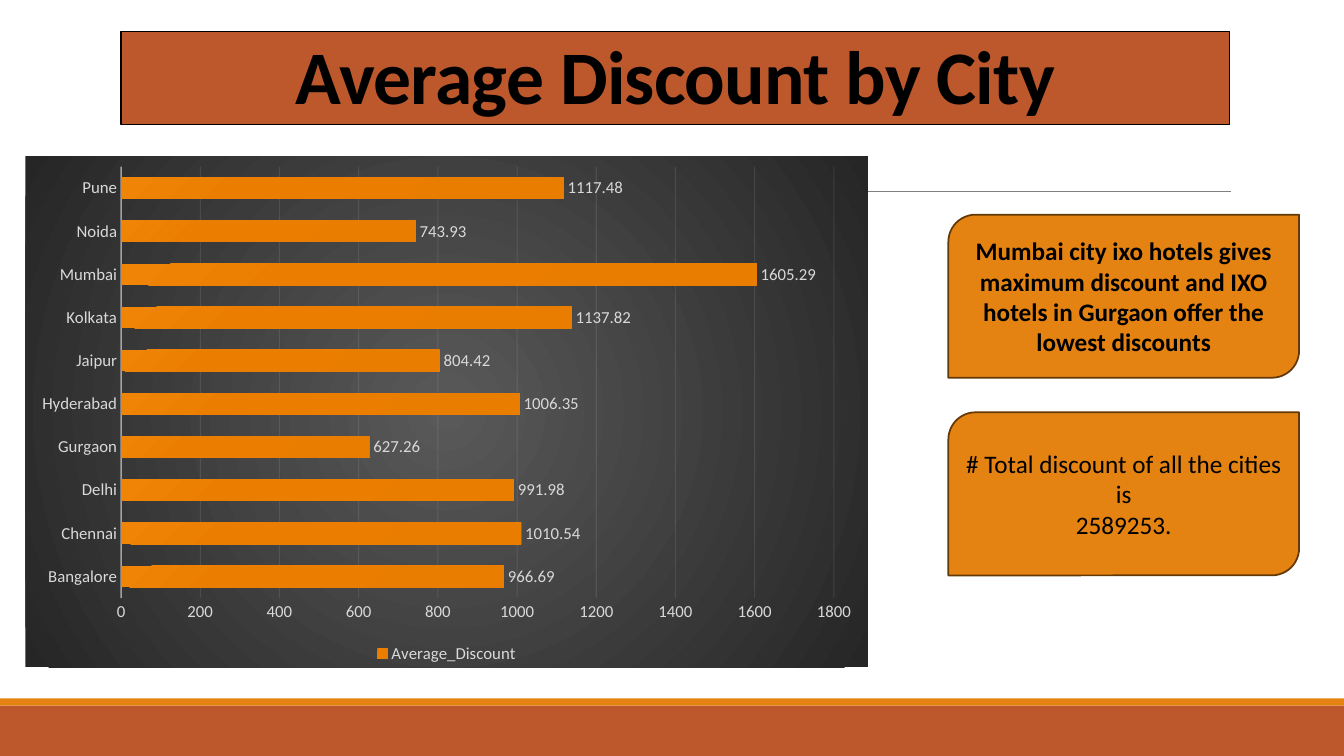
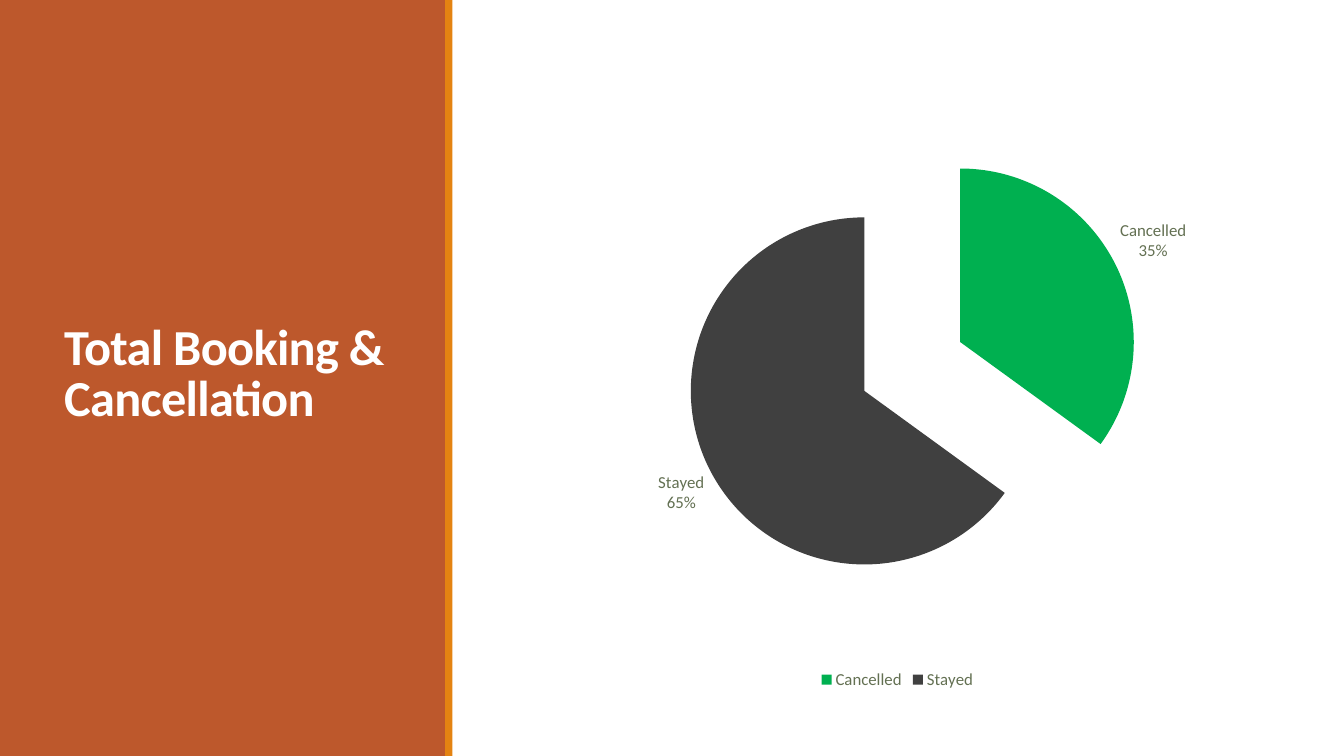
from dataclasses import dataclass
from typing import Any, Optional

from pptx import Presentation
from pptx.chart.data import CategoryChartData
from pptx.dml.color import RGBColor
from pptx.enum.chart import XL_CHART_TYPE, XL_LABEL_POSITION, XL_LEGEND_POSITION, XL_TICK_MARK
from pptx.enum.shapes import MSO_CONNECTOR, MSO_SHAPE
from pptx.enum.text import MSO_ANCHOR, PP_ALIGN
from pptx.oxml import parse_xml
from pptx.oxml.ns import nsdecls
from pptx.util import Cm, Pt

RECT = MSO_SHAPE.RECTANGLE
CALLOUT = MSO_SHAPE.ROUND_2_DIAG_RECTANGLE
STRAIGHT = MSO_CONNECTOR.STRAIGHT
BAR = XL_CHART_TYPE.BAR_CLUSTERED
PIE = XL_CHART_TYPE.PIE
OUTSIDE_END = XL_LABEL_POSITION.OUTSIDE_END
LEGEND_BOTTOM = XL_LEGEND_POSITION.BOTTOM
NO_TICK = XL_TICK_MARK.NONE
MIDDLE = MSO_ANCHOR.MIDDLE
BOTTOM = MSO_ANCHOR.BOTTOM
CENTER = PP_ALIGN.CENTER
LEFT = PP_ALIGN.LEFT

RUST = RGBColor(0xBD, 0x58, 0x2C)
ORANGE = RGBColor(0xE4, 0x83, 0x12)
BROWN = RGBColor(0x64, 0x39, 0x08)
BLACK = RGBColor(0, 0, 0)
WHITE = RGBColor(0xFF, 0xFF, 0xFF)
GRAY = RGBColor(0x80, 0x80, 0x80)
PALE = RGBColor(0xF2, 0xF2, 0xF2)
SILVER = RGBColor(0xD9, 0xD9, 0xD9)
OLIVE = RGBColor(0x63, 0x70, 0x52)
GREEN = RGBColor(0x00, 0xB0, 0x50)
CHARCOAL = RGBColor(0x40, 0x40, 0x40)
CHART_STOPS = ((0, RGBColor(0x59, 0x59, 0x59)), (100, RGBColor(0x26, 0x26, 0x26)))
BAR_STOPS = (
    (0, RGBColor(0xE5, 0x7B, 0x00)),
    (34, RGBColor(0xE8, 0x7D, 0x00)),
    (70, RGBColor(0xEB, 0x7E, 0x00)),
    (100, RGBColor(0xEF, 0x84, 0x07)),
)

FONT = "Calibri"
WIDTH, HEIGHT = 33.87, 19.05
STRIPE = 0.18


@dataclass(frozen=True)
class Box:
    left: float
    top: float
    width: float
    height: float

    def lengths(self) -> tuple:
        return Cm(self.left), Cm(self.top), Cm(self.width), Cm(self.height)


@dataclass(frozen=True)
class Text:
    lines: tuple
    size: float
    color: RGBColor = BLACK
    bold: bool = False
    align: Any = CENTER
    anchor: Any = MIDDLE
    title: bool = False


@dataclass(frozen=True)
class Panel:
    box: Box
    fill: Optional[RGBColor]
    shape: Any = RECT
    line: Optional[RGBColor] = None
    weight: float = 0.75
    text: Optional[Text] = None


DISCOUNTS = {
    "Bangalore": 966.69,
    "Chennai": 1010.54,
    "Delhi": 991.98,
    "Gurgaon": 627.26,
    "Hyderabad": 1006.35,
    "Jaipur": 804.42,
    "Kolkata": 1137.82,
    "Mumbai": 1605.29,
    "Noida": 743.93,
    "Pune": 1117.48,
}
BOOKINGS = {"Cancelled": 35, "Stayed": 65}
NOTES = (
    Text(("Mumbai city ixo hotels gives maximum discount and IXO hotels in Gurgaon "
          "offer the lowest discounts",), 18, bold=True),
    Text(("# Total discount of all the cities is", "2589253."), 18),
)


def set_attrs(obj: Any, values: dict) -> None:
    for name, value in values.items():
        setattr(obj, name, value)


def set_font(font: Any, size: float, color: RGBColor, bold: bool = False) -> None:
    set_attrs(font, {"name": FONT, "size": Pt(size), "bold": bold})
    font.color.rgb = color


def write_text(sp: Any, text: Text) -> None:
    tf = sp.text_frame
    set_attrs(tf, {"word_wrap": True, "vertical_anchor": text.anchor})
    for i, line in enumerate(text.lines):
        p = tf.add_paragraph() if i else tf.paragraphs[0]
        p.alignment = text.align
        r = p.add_run()
        r.text = line
        set_font(r.font, text.size, text.color, text.bold)
        if text.title:
            p.line_spacing = 0.85
            r.font._element.set("spc", "-50")


def add_panel(s: Any, panel: Panel) -> None:
    if panel.fill is None:
        sp = s.shapes.add_textbox(*panel.box.lengths())
    else:
        sp = s.shapes.add_shape(panel.shape, *panel.box.lengths())
        sp.shadow.inherit = False
        sp.fill.solid()
        sp.fill.fore_color.rgb = panel.fill
        if panel.line is None:
            sp.line.fill.background()
        else:
            sp.line.color.rgb = panel.line
            sp.line.width = Pt(panel.weight)
    if panel.text:
        write_text(sp, panel.text)


def add_rule(s: Any, left: float, right: float, y: float) -> None:
    rule = s.shapes.add_connector(STRAIGHT, Cm(left), Cm(y), Cm(right), Cm(y))
    rule.line.color.rgb = GRAY
    rule.line.width = Pt(0.5)
    rule._element.spPr.append(parse_xml(f"<a:effectLst {nsdecls('a')}/>"))


def circle_gradient(stops: tuple, near: int, far: int) -> str:
    marks = "".join(
        f'<a:gs pos="{pos * 1000}"><a:srgbClr val="{color}"/></a:gs>' for pos, color in stops
    )
    n, f = near * 1000, far * 1000
    return (
        f"<a:gradFill {nsdecls('a')}><a:gsLst>{marks}</a:gsLst>"
        f'<a:path path="circle"><a:fillToRect l="{n}" t="{n}" r="{f}" b="{f}"/></a:path>'
        "</a:gradFill>"
    )


def frame_format(fill: str) -> Any:
    return parse_xml(
        f"<c:spPr {nsdecls('c', 'a')}>{fill}<a:ln><a:noFill/></a:ln></c:spPr>"
    )


def set_alpha(chart: Any, xpath: str, percent: int) -> None:
    for color in chart.element.xpath(xpath + "//a:srgbClr"):
        color.append(parse_xml(f'<a:alpha {nsdecls("a")} val="{percent * 1000}"/>'))


def add_chart(s: Any, kind: Any, box: Box, name: str, values: dict,
              color: RGBColor, background: str) -> Any:
    data = CategoryChartData()
    data.categories = list(values)
    data.add_series(name, list(values.values()))
    chart = s.shapes.add_chart(kind, *box.lengths(), data).chart
    set_font(chart.font, 10, BLACK)
    set_attrs(chart, {"has_title": False, "has_legend": True})
    set_attrs(chart.legend, {"position": LEGEND_BOTTOM, "include_in_layout": False})
    set_font(chart.legend.font, 12, color)
    labels = chart.plots[0].series[0].data_labels
    set_attrs(labels, {"position": OUTSIDE_END, "show_value": kind == BAR,
                       "show_percentage": kind == PIE, "show_category_name": kind == PIE})
    set_font(labels.font, 12, color)
    chart.element.xpath("c:chart")[0].addnext(frame_format(background))
    chart.element.xpath(".//c:plotArea")[0].append(frame_format("<a:noFill/>"))
    return chart


def add_discount_chart(s: Any) -> None:
    chart = add_chart(s, BAR, Box(0.64, 3.94, 21.23, 12.88), "Average_Discount", DISCOUNTS,
                      SILVER, circle_gradient(CHART_STOPS, 50, 50))
    set_attrs(chart.plots[0], {"gap_width": 100, "vary_by_categories": False})
    for axis in (chart.category_axis, chart.value_axis):
        set_attrs(axis, {"major_tick_mark": NO_TICK, "minor_tick_mark": NO_TICK})
        set_font(axis.tick_labels.font, 12, SILVER)
    chart.value_axis.format.line.fill.background()
    chart.value_axis.has_major_gridlines = True
    for line, weight in ((chart.category_axis.format.line, 1),
                         (chart.value_axis.major_gridlines.format.line, 0.75)):
        line.color.rgb = PALE
        line.width = Pt(weight)
    set_alpha(chart, ".//c:catAx/c:spPr", 54)
    set_alpha(chart, ".//c:majorGridlines", 10)
    ser = chart.element.xpath(".//c:ser")[0]
    ser.get_or_add_spPr().append(parse_xml(circle_gradient(BAR_STOPS, 100, 0)))


def add_booking_chart(s: Any) -> None:
    chart = add_chart(s, PIE, Box(13.18, 1.78, 18.87, 15.7), "Series 1", BOOKINGS,
                      OLIVE, "<a:noFill/>")
    series = chart.plots[0].series[0]
    set_attrs(series.data_labels, {"number_format": "0%", "number_format_is_linked": False})
    ser = chart.element.xpath(".//c:ser")[0]
    ser.xpath("c:tx")[0].addnext(parse_xml(f'<c:explosion {nsdecls("c")} val="31"/>'))
    for i, color in enumerate((GREEN, CHARCOAL)):
        fill = series.points[i].format.fill
        fill.solid()
        fill.fore_color.rgb = color
    ser.xpath("c:dLbls/c:showBubbleSize")[0].addnext(
        parse_xml(f"<c:separator {nsdecls('c')}>\n</c:separator>"))
    area = chart.element.xpath(".//c:plotArea")[0]
    for layout in area.xpath("c:layout"):
        area.remove(layout)
    places = "".join(
        f'<c:{tag} val="{val}"/>'
        for tag, val in (("layoutTarget", "inner"), ("xMode", "edge"), ("yMode", "edge"),
                         ("x", 0.04), ("y", 0.11), ("w", 0.96), ("h", 0.73))
    )
    area.insert(0, parse_xml(
        f"<c:layout {nsdecls('c')}><c:manualLayout>{places}</c:manualLayout></c:layout>"))


def build_discount_slide(s: Any) -> None:
    title = Text(("Average Discount by City",), 54, bold=True, anchor=BOTTOM, title=True)
    add_panel(s, Panel(Box(0, 17.78, WIDTH, 1.27), RUST))
    add_panel(s, Panel(Box(0, 17.6, WIDTH, STRIPE), ORANGE))
    add_rule(s, 3.33, 31.01, 4.83)
    add_panel(s, Panel(Box(3.05, 0.79, 27.94, 2.36), RUST, line=BLACK, text=title))
    add_discount_chart(s)
    for i, note in enumerate(NOTES):
        box = Box(23.9, 5.41 + i * 4.98, 8.84, 4.11)
        add_panel(s, Panel(box, ORANGE, CALLOUT, BROWN, 1.25, note))


def build_booking_slide(s: Any) -> None:
    title = Text(("Total Booking & Cancellation",), 36, WHITE, True, LEFT, title=True)
    add_panel(s, Panel(Box(0, 0, 11.25, HEIGHT), RUST))
    add_panel(s, Panel(Box(1.37, 1.45, 8.56, 16.03), None, text=title))
    add_panel(s, Panel(Box(11.22, 0, STRIPE, HEIGHT), ORANGE))
    add_booking_chart(s)


def main() -> None:
    prs = Presentation()
    set_attrs(prs, {"slide_width": Cm(WIDTH), "slide_height": Cm(HEIGHT)})
    for build in (build_discount_slide, build_booking_slide):
        build(prs.slides.add_slide(prs.slide_layouts[6]))
    prs.save("out.pptx")


if __name__ == "__main__":
    main()
